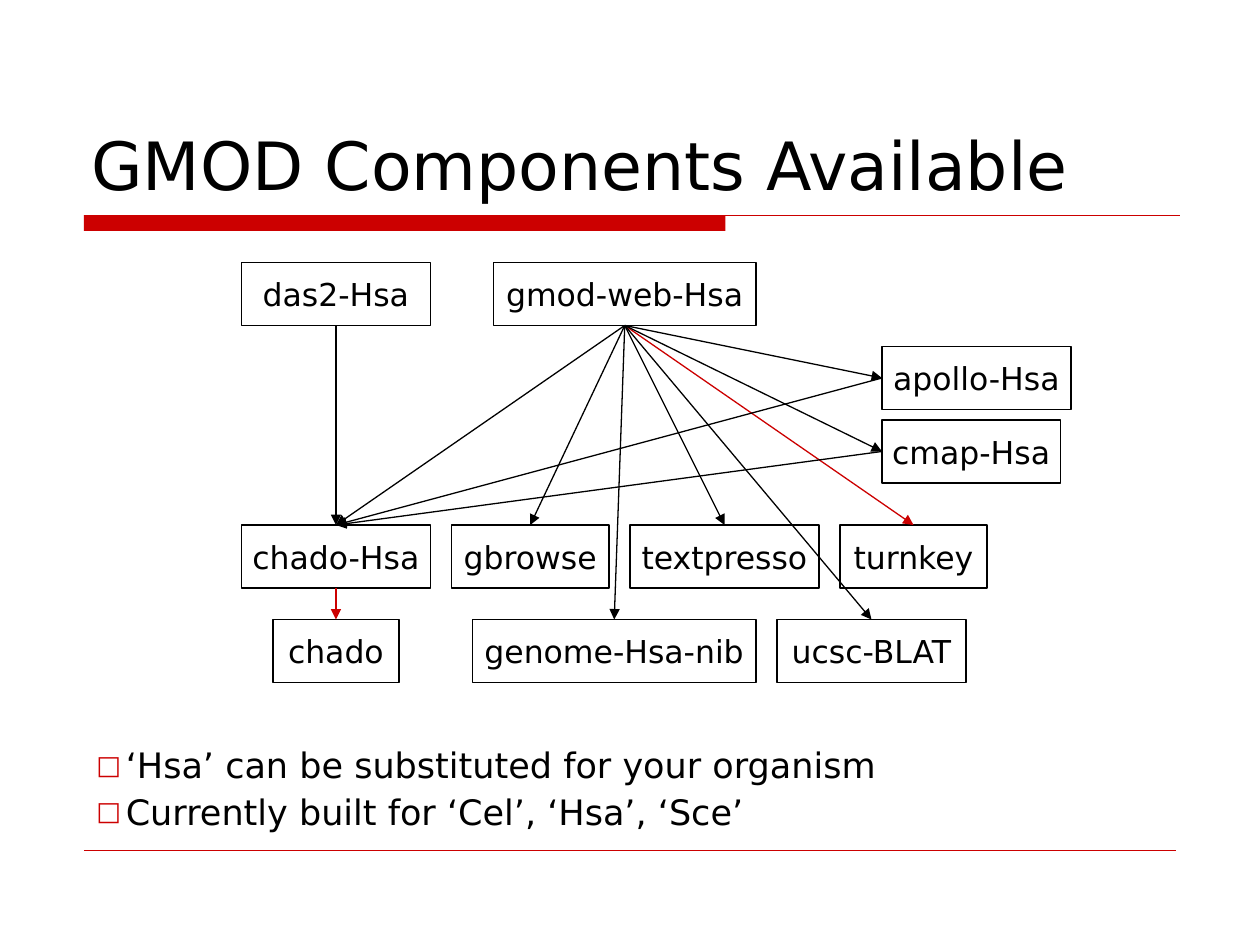
from lxml.etree import SubElement
from pptx import Presentation
from pptx.dml.color import RGBColor
from pptx.enum.shapes import MSO_CONNECTOR, MSO_SHAPE
from pptx.enum.text import MSO_ANCHOR, PP_ALIGN
from pptx.oxml.ns import qn
from pptx.util import Emu, Pt

BLACK = RGBColor(0x00, 0x00, 0x00)
WHITE = RGBColor(0xFF, 0xFF, 0xFF)
RED = RGBColor(0xCC, 0x00, 0x00)
FONT = "DejaVu Sans"
PX = 7620  # EMU per px, 120 px to the inch
BOX_H = 60
TOP, BOTTOM, LEFT = 0, 2, 1  # connection sites of a rectangle

TITLE = "GMOD Components Available"
BULLETS = [
    "‘Hsa’ can be substituted for your organism",
    "Currently built for ‘Cel’, ‘Hsa’, ‘Sce’",
]
# top of row: (name, left, width)
ROWS = {
    250: [("das2-Hsa", 230, 180), ("gmod-web-Hsa", 470, 250)],
    330: [("apollo-Hsa", 840, 180)],
    400: [("cmap-Hsa", 840, 170)],
    500: [("chado-Hsa", 230, 180), ("gbrowse", 430, 150),
          ("textpresso", 600, 180), ("turnkey", 800, 140)],
    590: [("chado", 260, 120), ("genome-Hsa-nib", 450, 270), ("ucsc-BLAT", 740, 180)],
}
# (from, site, to, site, colour)
ARROWS = [
    ("gmod-web-Hsa", BOTTOM, "turnkey", TOP, RED),
    ("gmod-web-Hsa", BOTTOM, "textpresso", TOP, BLACK),
    ("gmod-web-Hsa", BOTTOM, "gbrowse", TOP, BLACK),
    ("gmod-web-Hsa", BOTTOM, "chado-Hsa", TOP, BLACK),
    ("chado-Hsa", BOTTOM, "chado", TOP, RED),
    ("das2-Hsa", BOTTOM, "chado-Hsa", TOP, BLACK),
    ("gmod-web-Hsa", BOTTOM, "cmap-Hsa", LEFT, BLACK),
    ("gmod-web-Hsa", BOTTOM, "apollo-Hsa", LEFT, BLACK),
    ("cmap-Hsa", LEFT, "chado-Hsa", TOP, BLACK),
    ("apollo-Hsa", LEFT, "chado-Hsa", TOP, BLACK),
    ("gmod-web-Hsa", BOTTOM, "ucsc-BLAT", TOP, BLACK),
    ("gmod-web-Hsa", BOTTOM, "genome-Hsa-nib", TOP, BLACK),
]


def px(*values):
    return [Emu(v * PX) for v in values]


def add_bullet(p):
    """Give the paragraph a hanging red square bullet."""
    pPr = p._p.get_or_add_pPr()
    pPr.set("marL", str(28 * PX))
    pPr.set("indent", str(-28 * PX))
    color = SubElement(pPr, qn("a:buClr"))
    SubElement(color, qn("a:srgbClr"), val=str(RED))
    SubElement(pPr, qn("a:buSzPct"), val="75000")
    SubElement(pPr, qn("a:buFont"), typeface=FONT)
    SubElement(pPr, qn("a:buChar"), char="□")


def write(sp, lines, size, align=PP_ALIGN.LEFT, anchor=MSO_ANCHOR.TOP,
          wrap=True, bullet=False, line_spacing=None, space_before=0):
    tf = sp.text_frame
    tf.word_wrap = wrap
    tf.vertical_anchor = anchor
    for i, line in enumerate(lines):
        p = tf.paragraphs[0] if i == 0 else tf.add_paragraph()
        p.alignment = align
        if line_spacing:
            p.line_spacing = line_spacing
        p.space_before = Pt(space_before if i else 0)
        if bullet:
            add_bullet(p)
        r = p.add_run()
        r.text = line
        r.font.name = FONT
        r.font.size = Pt(size)
        r.font.color.rgb = BLACK


def add_rect(shapes, x, y, w, h, fill, line=None):
    sp = shapes.add_shape(MSO_SHAPE.RECTANGLE, *px(x, y, w, h))
    sp.shadow.inherit = False
    sp.fill.solid()
    sp.fill.fore_color.rgb = fill
    if line is None:
        sp.line.fill.background()
    else:
        sp.line.color.rgb = line
        sp.line.width = Pt(0.75)
    return sp


def add_line(shapes, x1, y1, x2, y2, color, width=0.75):
    cn = shapes.add_connector(MSO_CONNECTOR.STRAIGHT, *px(x1, y1, x2, y2))
    cn.line.color.rgb = color
    cn.line.width = Pt(width)
    SubElement(cn._element.spPr, qn("a:effectLst"))
    return cn


def add_arrow(shapes, start, start_site, end, end_site, color):
    cn = add_line(shapes, 0, 0, 0, 0, color)
    cn.begin_connect(start, start_site)
    cn.end_connect(end, end_site)
    SubElement(cn.line._get_or_add_ln(), qn("a:tailEnd"), type="triangle")


def main():
    prs = Presentation()
    prs.slide_width, prs.slide_height = px(1200, 900)
    shapes = prs.slides.add_slide(prs.slide_layouts[6]).shapes

    add_rect(shapes, 80, 205, 611, 15, RED)
    add_line(shapes, 80, 205, 1124, 205, RED)
    add_line(shapes, 80, 810, 1120, 810, RED, width=0.25)

    title = shapes.add_textbox(*px(75, 40, 1050, 160))
    write(title, [TITLE], 38, anchor=MSO_ANCHOR.BOTTOM)

    boxes = {}
    for y, row in ROWS.items():
        for name, x, w in row:
            boxes[name] = add_rect(shapes, x, y, w, BOX_H, WHITE, BLACK)
            write(boxes[name], [name], 18, align=PP_ALIGN.CENTER,
                  anchor=MSO_ANCHOR.MIDDLE, wrap=False)
    for start, start_site, end, end_site, color in ARROWS:
        add_arrow(shapes, boxes[start], start_site, boxes[end], end_site, color)

    notes = shapes.add_textbox(*px(80, 707, 1040, 92))
    write(notes, BULLETS, 20, bullet=True, line_spacing=0.9, space_before=5)

    prs.save("out.pptx")


if __name__ == "__main__":
    main()
